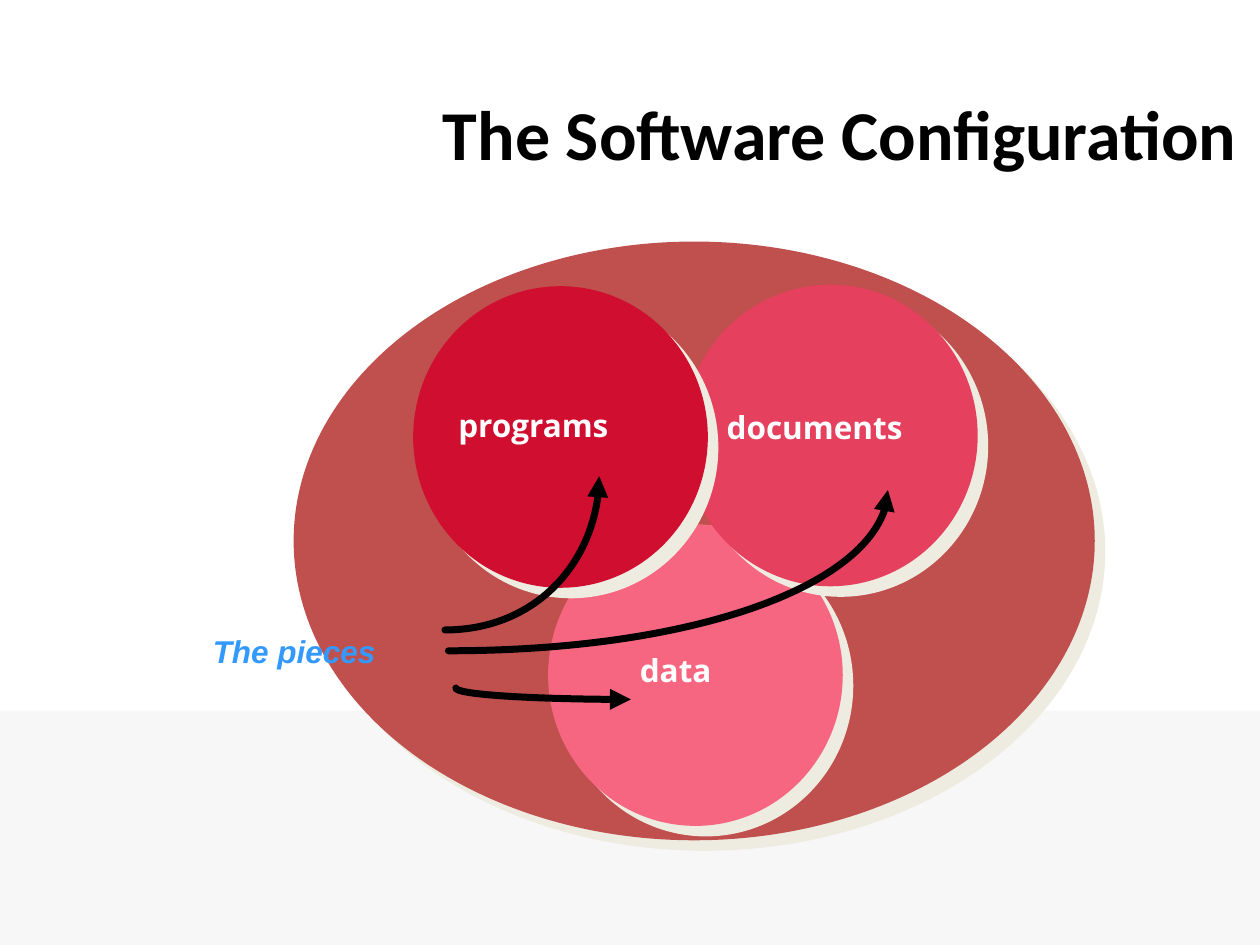
from lxml import etree
from pptx import Presentation
from pptx.dml.color import RGBColor
from pptx.enum.shapes import MSO_SHAPE
from pptx.enum.text import MSO_AUTO_SIZE
from pptx.oxml.ns import qn
from pptx.util import Cm, Pt

RECTANGLE = MSO_SHAPE.RECTANGLE
OVAL = MSO_SHAPE.OVAL
FIT_TEXT = MSO_AUTO_SIZE.SHAPE_TO_FIT_TEXT
BEZIER_RATIO = 0.55  # control point distance for a quarter ellipse


def colour(hex_code):
    return RGBColor.from_string(hex_code)


def add_filled(slide, preset, left, top, width, height, fill):
    shape = slide.shapes.add_shape(preset, Cm(left), Cm(top), Cm(width), Cm(height))
    shape.shadow.inherit = False
    shape.fill.solid()
    shape.fill.fore_color.rgb = colour(fill)
    shape.line.fill.background()
    return shape


def add_shadowed_oval(slide, left, top, width, height, fill):
    oval = add_filled(slide, OVAL, left, top, width, height, fill)
    effects = oval._element.spPr.find(qn("a:effectLst"))
    shadow = etree.SubElement(effects, qn("a:outerShdw"), blurRad="0",
                              dist=str(Pt(8.5)), dir=str(45 * 60000),
                              algn="ctr", rotWithShape="0")
    etree.SubElement(shadow, qn("a:srgbClr"), val="EEECE1")


def add_label(slide, words, left, top, width, height, font_name, size, text_colour,
              italic=None, wrap=False):
    box = slide.shapes.add_textbox(Cm(left), Cm(top), Cm(width), Cm(height))
    frame = box.text_frame
    frame.word_wrap = wrap
    frame.auto_size = FIT_TEXT
    run = frame.paragraphs[0].add_run()
    run.text = words
    run.font.name = font_name
    run.font.size = Pt(size)
    run.font.bold = True
    run.font.italic = italic
    run.font.color.rgb = colour(text_colour)


def add_curved_arrow(slide, tip, tail):
    """Draw a quarter ellipse, bulging downwards, with its arrowhead at the tip."""
    builder = slide.shapes.build_freeform(Cm(tip[0]), Cm(tip[1]))
    builder.add_line_segments([(Cm(tail[0]), Cm(tail[1]))], close=False)
    arrow = builder.convert_to_shape()
    arrow.shadow.inherit = False
    arrow.fill.background()
    arrow.line.color.rgb = colour("000000")
    arrow.line.width = Pt(4)

    # Turn the straight segment into a curve
    geometry = arrow._element.spPr
    segment = next(geometry.iter(qn("a:lnTo")))
    start, end = [(int(pt.get("x")), int(pt.get("y"))) for pt in geometry.iter(qn("a:pt"))]
    upper, lower = sorted([start, end], key=lambda point: point[1])
    corner = (upper[0], lower[1])
    controls = [[round(p + BEZIER_RATIO * (c - p)) for p, c in zip(point, corner)]
                for point in (start, end)]
    segment.clear()
    segment.tag = qn("a:cubicBezTo")
    for x, y in [*controls, end]:
        etree.SubElement(segment, qn("a:pt"), x=str(x), y=str(y))

    # Round cap and arrowhead
    line = geometry.find(qn("a:ln"))
    line.set("cap", "rnd")
    etree.SubElement(line, qn("a:round"))
    etree.SubElement(line, qn("a:headEnd"), type="triangle")


def main():
    prs = Presentation()
    prs.slide_width, prs.slide_height = Cm(25.4), Cm(19.05)
    slide = prs.slides.add_slide(prs.slide_layouts[6])

    # Footer band and title
    add_filled(slide, RECTANGLE, 0, 14.33, 25.4, 4.72, "F7F7F7")
    add_label(slide, "The Software Configuration", 8.68, 1.7, 16.72, 1.96,
              "Calibri", 40, "000000", wrap=True)

    # The configuration and its three parts
    add_shadowed_oval(slide, 5.92, 4.87, 16.15, 12.07, "C0504D")
    for left, top, fill in [(11.05, 10.57, "F76681"),
                            (13.77, 5.74, "E5405D"),
                            (8.33, 5.77, "CF0E30")]:
        add_shadowed_oval(slide, left, top, 5.94, 6.08, fill)

    for words, left, top, width in [("programs", 8.99, 8.07, 3.6),
                                    ("documents", 14.4, 8.1, 4.14),
                                    ("data", 12.65, 13, 2)]:
        add_label(slide, words, left, top, width, 1.02, "Open Sans", 18, "FFFFFF")

    # Caption, and arrows from it to each part
    add_label(slide, "The pieces", 4.04, 12.62, 3.88, 1.02,
              "Arial", 18, "3399FF", italic=True)
    for tip, tail in [((12.72, 14.1), (9.19, 13.87)),
                      ((17.9, 9.88), (9.04, 13.12)),
                      ((12.08, 9.6), (8.97, 12.7))]:
        add_curved_arrow(slide, tip, tail)

    prs.save("out.pptx")


if __name__ == "__main__":
    main()
